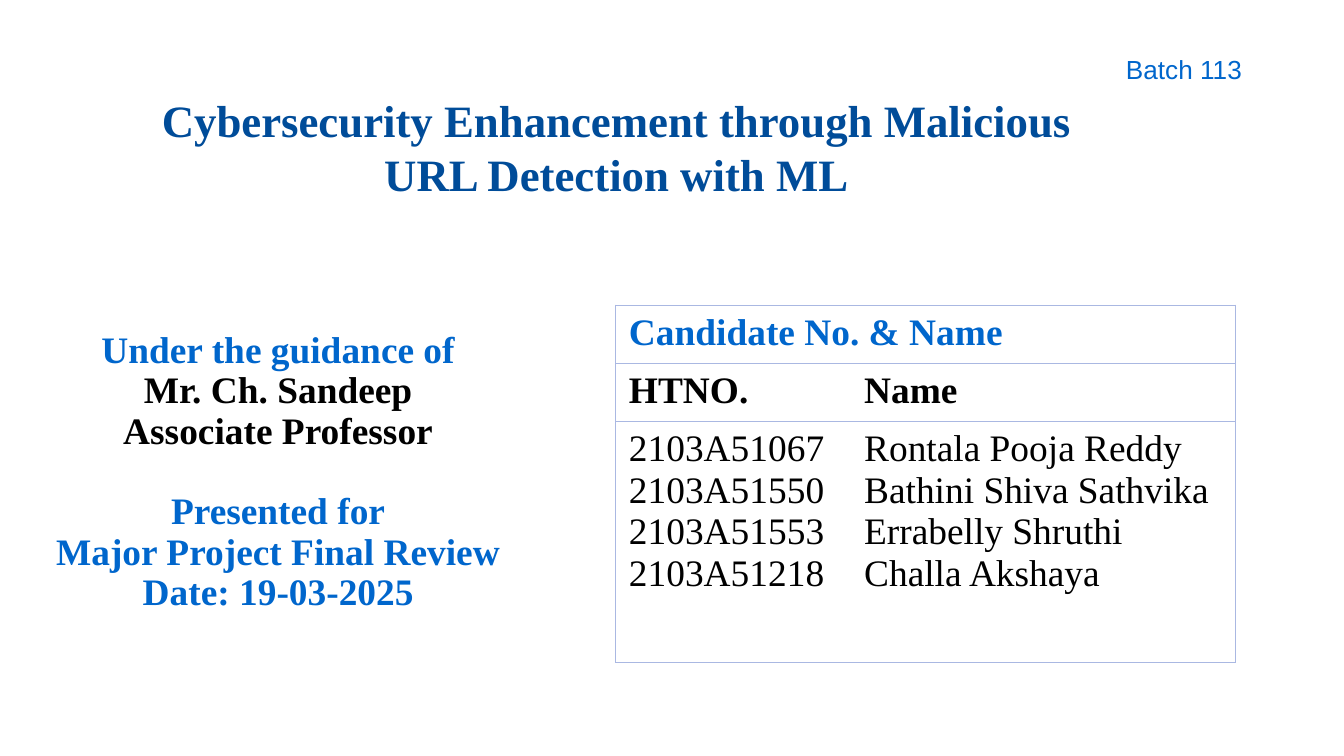
from typing import NamedTuple

from lxml import etree
from pptx import Presentation
from pptx.dml.color import RGBColor
from pptx.enum import text
from pptx.oxml import ns
from pptx.util import Inches, Pt

COLORS = {
    "title": "004C99",
    "accent": "0066CC",
    "body": "000000",
    "border": "AAB8E2",
    "white": "FFFFFF",
}
SERIF = "Times New Roman"


class Line(NamedTuple):
    words: str
    color: str = "body"
    bold: bool = True
    size: int = 20
    face: str = SERIF
    before: float = 0


class Place(NamedTuple):
    left: float
    top: float
    width: float
    height: float

    def lengths(self):
        return [Inches(value) for value in self]


def write(frame, lines: list[Line], **paragraph_format) -> None:
    """Fill a text frame with one paragraph per line."""
    frame.word_wrap = True
    for index, line in enumerate(lines):
        para = frame.paragraphs[0] if index == 0 else frame.add_paragraph()
        for name, value in paragraph_format.items():
            setattr(para, name, value)
        para.space_before = Pt(line.before)
        span = para.add_run()
        span.text = line.words
        looks = {"name": line.face, "size": Pt(line.size), "bold": line.bold}
        for name, value in looks.items():
            setattr(span.font, name, value)
        span.font.color.rgb = RGBColor.from_string(COLORS[line.color])


def add_text(page, place: Place, lines: list[Line], **paragraph_format):
    box = page.shapes.add_textbox(*place.lengths())
    write(box.text_frame, lines, **paragraph_format)
    return box


def set_borders(cell, visible: str) -> None:
    """Draw the sides named in visible (letters of LRTB) and hide the others."""
    properties = cell._tc.get_or_add_tcPr()
    for side in "LRTB":
        edge = etree.SubElement(properties, ns.qn(f"a:ln{side}"), w=str(Pt(0.5)))
        if side in visible:
            fill = etree.SubElement(edge, ns.qn("a:solidFill"))
            etree.SubElement(fill, ns.qn("a:srgbClr"), val=COLORS["border"])
        else:
            etree.SubElement(edge, ns.qn("a:noFill"))


def add_candidates(page, place: Place, widths: list[float], heights: list[float],
                   rows: list[list[list[Line]]]) -> None:
    table = page.shapes.add_table(len(rows), len(widths), *place.lengths()).table
    for column, width in zip(table.columns, widths):
        column.width = Inches(width)
    for row, height in zip(table.rows, heights):
        row.height = Inches(height)
    table.cell(0, 0).merge(table.cell(0, 1))
    for row, contents in zip(table.rows, rows):
        for cell, lines, outer in zip(row.cells, contents, "LR"):
            set_borders(cell, "LRTB" if cell.is_merge_origin else outer + "TB")
            cell.fill.solid()
            cell.fill.fore_color.rgb = RGBColor.from_string(COLORS["white"])
            write(cell.text_frame, lines)


def main() -> None:
    deck = Presentation()
    deck.slide_width, deck.slide_height = Inches(10), Inches(10 * 9 / 16)
    page = deck.slides.add_slide(deck.slide_layouts[5])

    title = page.shapes.title
    title.left, title.top, title.width, title.height = Place(1.02, 0.64, 7.13, 0.73).lengths()
    title.text_frame.auto_size = text.MSO_AUTO_SIZE.NONE
    title.text_frame.vertical_anchor = text.MSO_ANCHOR.TOP
    heading = "Cybersecurity Enhancement through Malicious URL Detection with ML"
    write(title.text_frame, [Line(heading, "title", size=24)],
          alignment=text.PP_ALIGN.CENTER, line_spacing=1.0)

    add_text(page, Place(8.28, 0.35, 1.16, 0.36),
             [Line("Batch 113", "accent", False, 14, "Arial")])

    guidance = add_text(page, Place(0.13, 1.67, 3.88, 3.04), [
        Line("Under the guidance of", "accent"),
        Line("Mr. Ch. Sandeep"),
        Line("Associate Professor"),
        Line("Presented for", "accent", before=21.6),
        Line("Major Project Final Review", "accent"),
        Line("Date: 19-03-2025", "accent"),
    ], alignment=text.PP_ALIGN.CENTER, line_spacing=0.9)
    guidance.text_frame.vertical_anchor = text.MSO_ANCHOR.MIDDLE
    guidance.text_frame.margin_top = Inches(0.7)

    candidates = {
        "2103A51067": "Rontala Pooja Reddy",
        "2103A51550": "Bathini Shiva Sathvika",
        "2103A51553": "Errabelly Shruthi",
        "2103A51218": "Challa Akshaya",
    }
    add_candidates(page, Place(4.58, 2.27, 4.61, 2.65), [1.75, 2.86], [0.43, 0.43, 1.79], [
        [[Line("Candidate No. & Name", "accent")], []],
        [[Line("HTNO.")], [Line("Name")]],
        [[Line(words, bold=False) for words in column]
         for column in (candidates.keys(), candidates.values())],
    ])
    deck.save("out.pptx")


if __name__ == "__main__":
    main()
